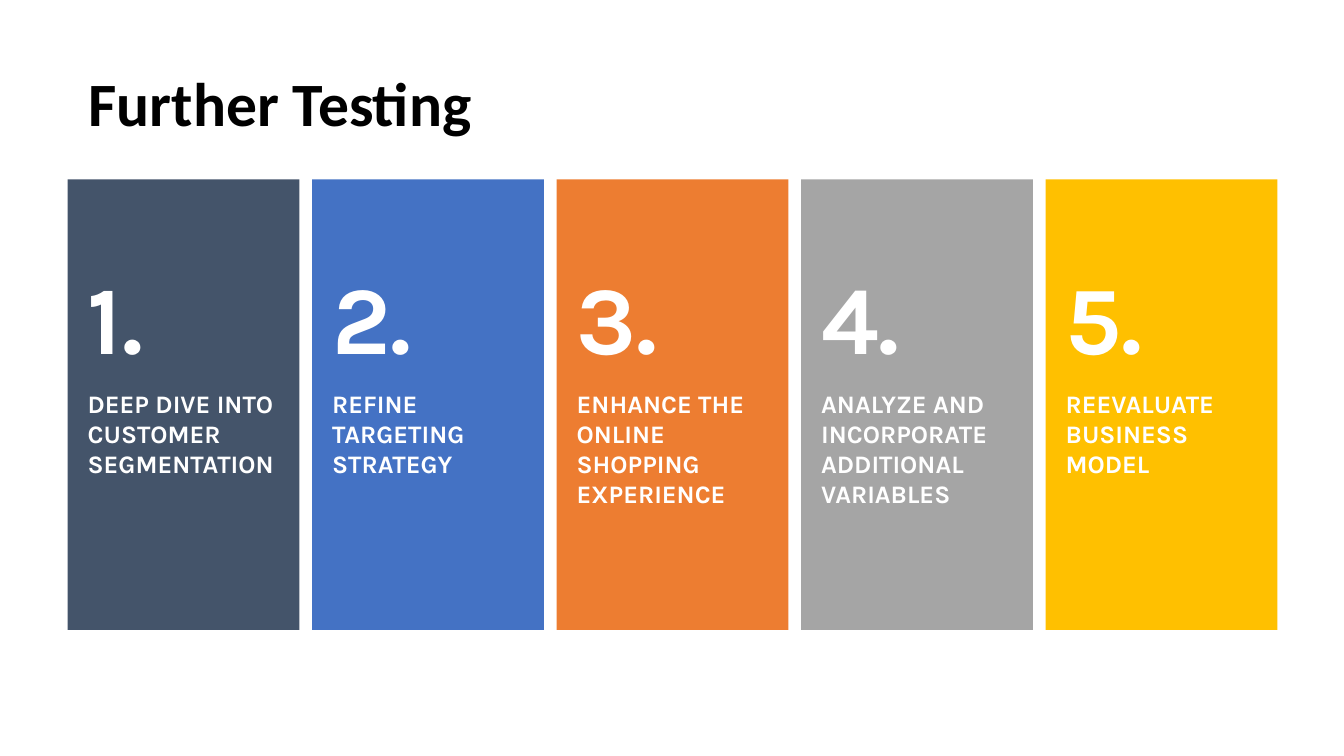
import pptx
import pptx.dml.color
import pptx.enum.shapes
import pptx.enum.text
import pptx.util
from pptx.util import Inches, Pt

TITLE = "Further Testing"
# caption, panel colour, caption lines
STEPS = [
    ("DEEP DIVE INTO CUSTOMER SEGMENTATION", "44546A", 3),
    ("REFINE TARGETING STRATEGY", "4472C4", 3),
    ("ENHANCE THE ONLINE SHOPPING EXPERIENCE", "ED7D31", 4),
    ("ANALYZE AND INCORPORATE ADDITIONAL VARIABLES", "A5A5A5", 4),
    ("REEVALUATE BUSINESS MODEL", "FFC000", 3),
]
LEFT, TOP, WIDTH, HEIGHT = 0.67, 1.78, 2.3, 4.47
PITCH = 2.425
INDENT = 0.2
LINE_HEIGHT = 0.3


def colour(value):
    return pptx.dml.color.RGBColor.from_string(value)


def style(para, font, size, value):
    para.font.name = font
    para.font.size = Pt(size)
    para.font.bold = True
    para.font.color.rgb = colour(value)


def add_text(page, text, left, top, width, height, size, anchor, wrap):
    """Add a white text box without margins."""
    box = page.shapes.add_textbox(
        Inches(left), Inches(top), Inches(width), Inches(height))
    frame = box.text_frame
    frame.margin_left = frame.margin_right = 0
    frame.margin_top = frame.margin_bottom = 0
    frame.word_wrap = wrap
    frame.auto_size = pptx.enum.text.MSO_AUTO_SIZE.SHAPE_TO_FIT_TEXT
    frame.vertical_anchor = anchor
    frame.text = text
    style(frame.paragraphs[0], "Karla", size, "FFFFFF")


def add_title(page):
    title = page.shapes.title
    title.left, title.top = Inches(0.78), Inches(0.68)
    title.width, title.height = Inches(11.5), Inches(1.45)
    frame = title.text_frame
    frame.text = TITLE
    frame.word_wrap = True
    frame.auto_size = pptx.enum.text.MSO_AUTO_SIZE.NONE
    frame.vertical_anchor = pptx.enum.text.MSO_ANCHOR.TOP
    para = frame.paragraphs[0]
    para.alignment = pptx.enum.text.PP_ALIGN.LEFT
    para.line_spacing = 0.9
    style(para, "Calibri", 44, "000000")


def add_step(page, index, caption, fill, lines):
    left = LEFT + index * PITCH
    panel = page.shapes.add_shape(
        pptx.enum.shapes.MSO_SHAPE.RECTANGLE,
        Inches(left), Inches(TOP), Inches(WIDTH), Inches(HEIGHT))
    panel.shadow.inherit = False
    panel.fill.solid()
    panel.fill.fore_color.rgb = colour(fill)
    panel.line.fill.background()
    anchors = pptx.enum.text.MSO_ANCHOR
    add_text(page, f"{index + 1}.", left + INDENT, 2.55, 0.82, 1.16,
             69, anchors.MIDDLE, False)
    add_text(page, caption, left + INDENT, 3.85, 1.93, lines * LINE_HEIGHT,
             18, anchors.BOTTOM, True)


def main():
    deck = pptx.Presentation()
    deck.slide_width, deck.slide_height = Inches(13.33), Inches(7.5)
    page = deck.slides.add_slide(deck.slide_layouts[5])
    add_title(page)
    for index, step in enumerate(STEPS):
        add_step(page, index, *step)
    deck.save("out.pptx")


if __name__ == "__main__":
    main()
